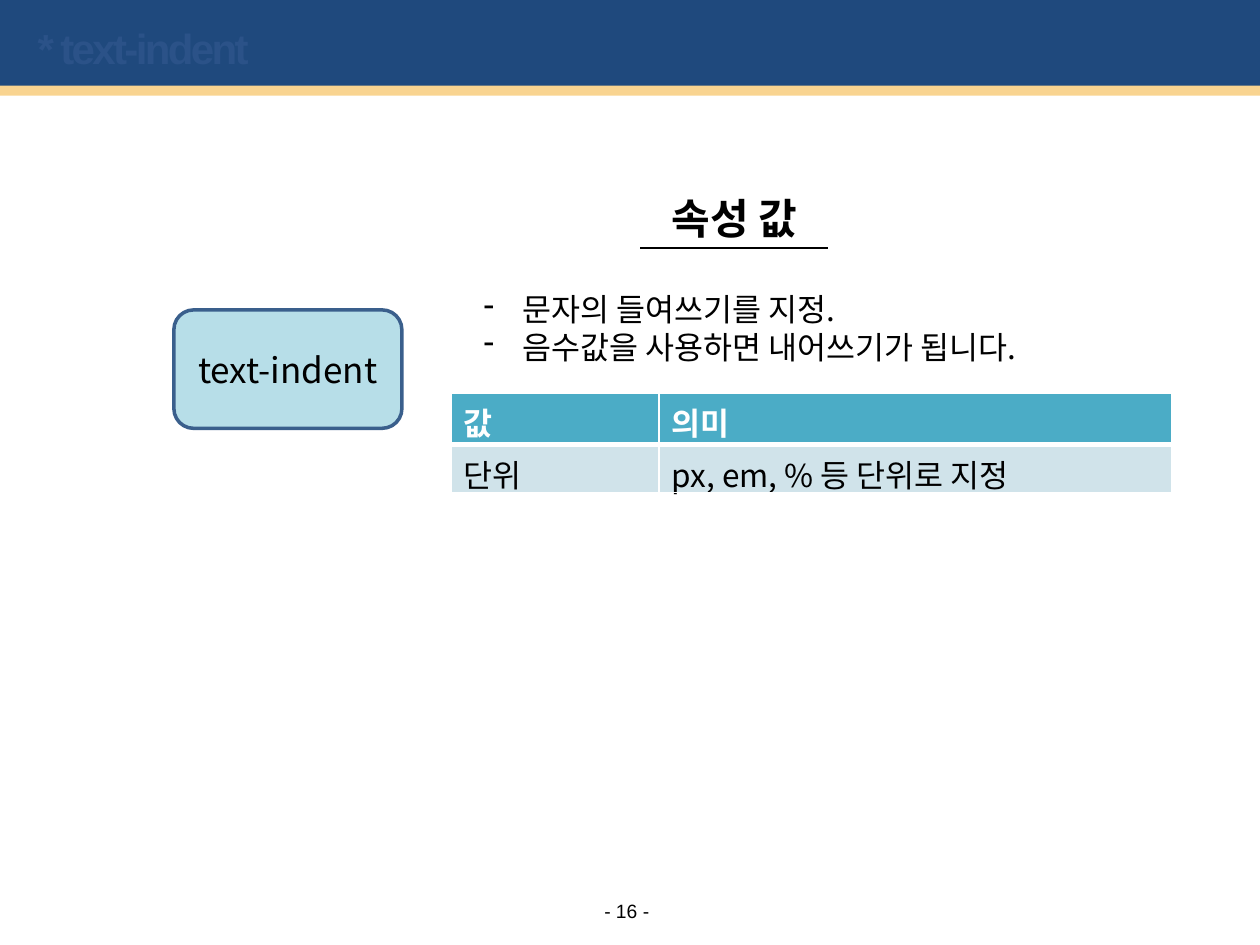
"""Build the text-indent property slide."""
import dataclasses
import typing

import lxml.etree
import pptx
import pptx.dml.color
import pptx.enum.shapes
import pptx.enum.text
import pptx.oxml.ns
import pptx.util

Inches = pptx.util.Inches
Pt = pptx.util.Pt
RGB = pptx.dml.color.RGBColor.from_string
qn = pptx.oxml.ns.qn
SHAPE = pptx.enum.shapes.MSO_SHAPE
ALIGN = pptx.enum.text.PP_ALIGN
ANCHOR = pptx.enum.text.MSO_ANCHOR


@dataclasses.dataclass(frozen=True)
class Theme:
    navy: str = "1F497D"
    gold: str = "F9D490"
    faint: str = "2B5288"
    black: str = "000000"
    white: str = "FFFFFF"
    header: str = "4BACC6"
    body: str = "D0E3EA"
    box: str = "B7DEE8"
    box_line: str = "3A5F8C"
    sans: str = "Arial"
    korean: str = "Noto Sans CJK KR"
    heading_size: int = 24
    label_size: int = 20
    body_size: int = 18
    page_size: int = 11


class Box(typing.NamedTuple):
    left: float
    top: float
    width: float
    height: float

    def emu(self) -> list:
        return [Inches(v) for v in self]


class Block(typing.NamedTuple):
    box: Box
    fill: str
    preset: typing.Any = SHAPE.RECTANGLE
    line: typing.Optional[str] = None


T = Theme()


def write(tf, *lines: str, size: int = T.body_size, font: str = T.korean,
          color: str = T.black, bold: bool = False, align=ALIGN.LEFT,
          bullet: str = "", leading: float = 0, tracking: int = 0) -> None:
    for i, line in enumerate(lines):
        p = tf.paragraphs[0] if i == 0 else tf.add_paragraph()
        p.alignment = align
        if leading:
            p.line_spacing = Pt(leading)
        if bullet:
            pPr = p._p.get_or_add_pPr()
            pPr.set("marL", str(Inches(0.31)))
            pPr.set("indent", str(-Inches(0.31)))
            lxml.etree.SubElement(pPr, qn("a:buChar")).set("char", bullet)
        r = p.add_run()
        r.text = line
        r.font.size, r.font.name, r.font.bold = Pt(size), font, bold
        r.font.color.rgb = RGB(color)
        rPr = r._r.get_or_add_rPr()
        lxml.etree.SubElement(rPr, qn("a:ea")).set("typeface", font)
        if tracking:
            rPr.set("spc", str(tracking))


def add_text(slide, box: Box, *lines: str, wrap: bool = True,
             inset: float = 0.05, anchor=ANCHOR.TOP, **style) -> None:
    tf = slide.shapes.add_textbox(*box.emu()).text_frame
    tf.word_wrap = wrap
    tf.vertical_anchor = anchor
    tf.margin_left = tf.margin_right = Inches(2 * inset)
    tf.margin_top = tf.margin_bottom = Inches(inset)
    write(tf, *lines, **style)


def add_block(slide, block: Block):
    sp = slide.shapes.add_shape(block.preset, *block.box.emu())
    sp.shadow.inherit = False
    sp.fill.solid()
    sp.fill.fore_color.rgb = RGB(block.fill)
    if block.line:
        sp.line.color.rgb = RGB(block.line)
        sp.line.width = Pt(2)
    else:
        sp.line.fill.background()
    return sp


def add_rule(slide, left: float, right: float, y: float) -> None:
    line = slide.shapes.add_connector(
        pptx.enum.shapes.MSO_CONNECTOR.STRAIGHT,
        Inches(left), Inches(y), Inches(right), Inches(y))
    line.line.color.rgb = RGB(T.black)
    line.line.width = Pt(1.5)
    lxml.etree.SubElement(line._element.spPr, qn("a:effectLst"))


def set_border(cell, side: str, width: float) -> None:
    ln = lxml.etree.SubElement(cell._tc.get_or_add_tcPr(), qn(f"a:ln{side}"))
    ln.set("w", str(Pt(width)))
    fill = lxml.etree.SubElement(ln, qn("a:solidFill"))
    lxml.etree.SubElement(fill, qn("a:srgbClr")).set("val", T.white)


def add_value_table(slide, box: Box, widths: tuple, heights: tuple, rows: list) -> None:
    table = slide.shapes.add_table(len(rows), len(widths), *box.emu()).table
    for col, width in zip(table.columns, widths):
        col.width = Inches(width)
    for i, (row, height) in enumerate(zip(rows, heights)):
        table.rows[i].height = Inches(height)
        head = i == 0
        for j, text in enumerate(row):
            cell = table.cell(i, j)
            cell.margin_bottom = 0
            for side in "LRTB":
                thick = side == ("B" if head else "T")
                set_border(cell, side, 3 if thick else 1)
            cell.fill.solid()
            cell.fill.fore_color.rgb = RGB(T.header if head else T.body)
            write(cell.text_frame, text, bold=head,
                  color=T.white if head else T.black)


def main() -> None:
    prs = pptx.Presentation()
    prs.slide_width, prs.slide_height = Inches(10), Inches(7.5)
    slide = prs.slides.add_slide(prs.slide_layouts[6])

    add_block(slide, Block(Box(0, -0.03, 10, 0.76), T.navy))
    add_text(slide, Box(4.76, 7.13, 0.43, 0.19), "- 16 -", wrap=False, inset=0,
             anchor=ANCHOR.MIDDLE, size=T.page_size, font=T.sans, align=ALIGN.CENTER)
    add_block(slide, Block(Box(0, 0.68, 10, 0.08), T.gold))
    add_text(slide, Box(0.2, 0.13, 6, 0.5), "* text-indent", anchor=ANCHOR.MIDDLE,
             size=T.heading_size, font=T.sans, color=T.faint, bold=True, tracking=-150)

    add_text(slide, Box(3.9, 1.46, 3.86, 0.5), "속성 값", size=T.heading_size,
             bold=True, align=ALIGN.CENTER, leading=30)
    add_text(slide, Box(3.74, 2.25, 4.88, 0.71), "문자의 들여쓰기를 지정.",
             "음수값을 사용하면 내어쓰기가 됩니다.", bullet="-", leading=21.6)
    add_rule(slide, 5.08, 6.57, 1.97)
    add_value_table(slide, Box(3.58, 3.12, 5.72, 0.79), (1.65, 4.07), (0.41, 0.38),
                    [("값", "의미"), ("단위", "px, em, % 등 단위로 지정")])

    sp = add_block(slide, Block(Box(1.38, 2.46, 1.81, 0.94), T.box,
                                SHAPE.ROUNDED_RECTANGLE, T.box_line))
    sp.text_frame.word_wrap = True
    sp.text_frame.vertical_anchor = ANCHOR.MIDDLE
    write(sp.text_frame, "text-indent", size=T.label_size, align=ALIGN.CENTER)

    prs.save("out.pptx")


if __name__ == "__main__":
    main()
